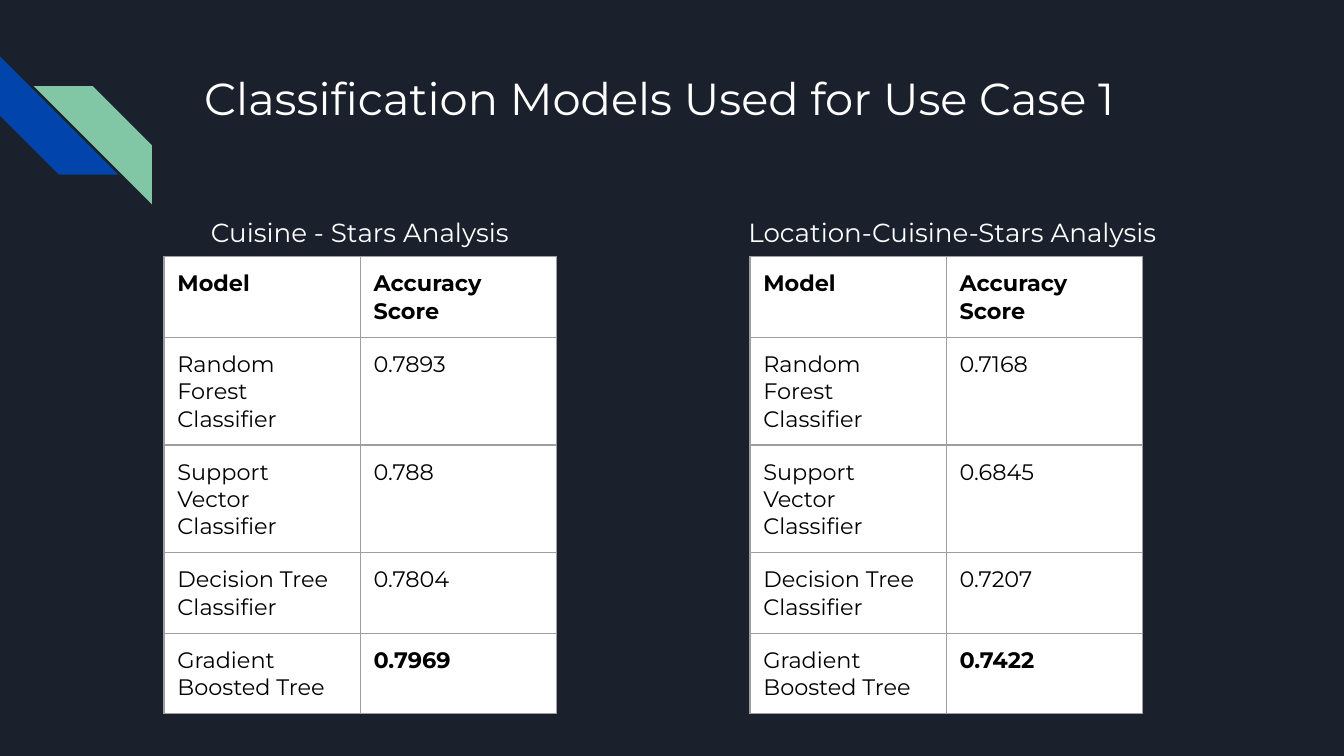
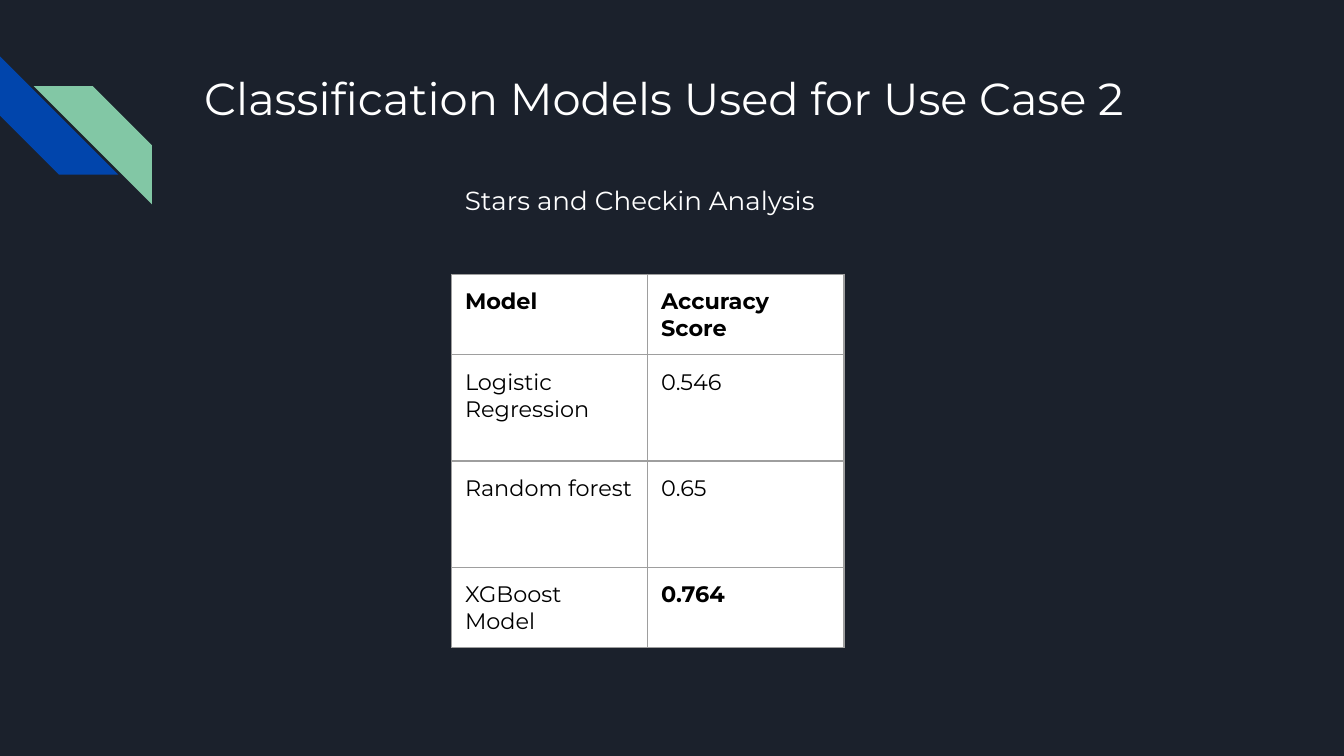
import pptx
import pptx.util
import pptx.dml.color
import pptx.enum.shapes
import pptx.enum.text
import pptx.oxml
import pptx.oxml.ns

Inches = pptx.util.Inches

COLORS = {
    "background": "1B212C",
    "blue": "0145AC",
    "green": "82C7A5",
    "white": "FFFFFF",
    "black": "000000",
    "border": "9E9E9E",
}
FONT = "Montserrat"
HEADER = ("Model", "Accuracy Score")
COLUMN_WIDTH = 1.46
TABLE_SIZE = 3.28
SHORT_ROW, TALL_ROW = 0.58, 0.79


def color(name):
    return pptx.dml.color.RGBColor.from_string(COLORS[name])


def style_text(frame, text, size, color_name, bold=False):
    frame.word_wrap = True
    para = frame.paragraphs[0]
    para.text = text
    para.font.name = FONT
    para.font.size = pptx.util.Pt(size)
    para.font.bold = bold
    para.font.color.rgb = color(color_name)


def add_text(page, text, left, top, width, height, size):
    box = page.shapes.add_textbox(Inches(left), Inches(top), Inches(width), Inches(height))
    frame = box.text_frame
    frame.margin_left = frame.margin_right = Inches(0.1)
    frame.margin_top = frame.margin_bottom = Inches(0.1)
    frame.vertical_anchor = pptx.enum.text.MSO_ANCHOR.TOP
    style_text(frame, text, size, "white")


def add_stripe(page, left, top, rotation, color_name):
    stripe = page.shapes.add_shape(
        pptx.enum.shapes.MSO_SHAPE.DIAGONAL_STRIPE,
        Inches(left), Inches(top), Inches(0.88), Inches(0.88))
    stripe.adjustments[0] = 0.5
    stripe.rotation = rotation
    stripe.shadow.inherit = False
    stripe.fill.solid()
    stripe.fill.fore_color.rgb = color(color_name)
    stripe.line.fill.background()


def add_page(deck, title):
    """Add a page with the shared background, corner stripes and title."""
    page = deck.slides.add_slide(deck.slide_layouts[6])
    page.background.fill.solid()
    page.background.fill.fore_color.rgb = color("background")
    add_stripe(page, 0, 0.42, 270, "blue")
    add_stripe(page, 0.25, 0.64, 90, "green")
    add_text(page, title, 1.42, 0.43, 7.7, 0.6, 24)
    return page


def add_borders(cell):
    properties = cell._tc.get_or_add_tcPr()
    for side in ("L", "R", "T", "B"):
        properties.append(pptx.oxml.parse_xml(
            f'<a:ln{side} {pptx.oxml.ns.nsdecls("a")} w="{pptx.util.Pt(0.75)}">'
            f'<a:solidFill><a:srgbClr val="{COLORS["border"]}"/></a:solidFill>'
            f'</a:ln{side}>'))


def add_score_table(page, left, top, scores, row_heights):
    """Add a table of models; the header and the last score are bold."""
    rows = [HEADER, *scores]
    holder = page.shapes.add_table(
        len(rows), len(HEADER), Inches(left), Inches(top),
        Inches(TABLE_SIZE), Inches(TABLE_SIZE))
    table = holder.table
    table.horz_banding = False
    for column in table.columns:
        column.width = Inches(COLUMN_WIDTH)
    for i, (values, height) in enumerate(zip(rows, row_heights)):
        table.rows[i].height = Inches(height)
        for j, value in enumerate(values):
            cell = table.cell(i, j)
            cell.margin_left = cell.margin_right = Inches(0.1)
            cell.margin_top = cell.margin_bottom = Inches(0.1)
            add_borders(cell)
            cell.fill.solid()
            cell.fill.fore_color.rgb = color("white")
            best_score = i == len(rows) - 1 and j == 1
            style_text(cell.text_frame, value, 12, "black", i == 0 or best_score)
    # Row and column sizes reset the frame, so its size is set last
    holder.width = holder.height = Inches(TABLE_SIZE)


def main():
    deck = pptx.Presentation()
    # 16:9 page, 10 inches wide
    deck.slide_width = Inches(10)
    deck.slide_height = deck.slide_width * 9 // 16

    # Use case 1: two analyses of the same models
    page = add_page(deck, "Classification Models Used for Use Case 1")
    models = ("Random Forest Classifier", "Support Vector Classifier",
              "Decision Tree Classifier", "Gradient Boosted Tree")
    heights = (SHORT_ROW, TALL_ROW, TALL_ROW, SHORT_ROW, SHORT_ROW)
    analyses = (
        ("Cuisine - Stars Analysis", 1.47, 2.42, 1.22,
         ("0.7893", "0.788", "0.7804", "0.7969")),
        ("Location-Cuisine-Stars Analysis", 5.47, 3.4, 5.58,
         ("0.7168", "0.6845", "0.7207", "0.7422")),
    )
    for _, _, _, table_left, scores in analyses:
        add_score_table(page, table_left, 1.91, zip(models, scores), heights)
    for caption, caption_left, caption_width, _, _ in analyses:
        add_text(page, caption, caption_left, 1.51, caption_width, 0.52, 14)

    # Use case 2: one analysis
    page = add_page(deck, "Classification Models Used for Use Case 2")
    scores = (("Logistic Regression", "0.546"), ("Random forest", "0.65"),
              ("XGBoost Model", "0.764"))
    add_score_table(page, 3.36, 2.04, scores, (SHORT_ROW, TALL_ROW, TALL_ROW, SHORT_ROW))
    add_text(page, "Stars and Checkin Analysis", 3.36, 1.27, 3.02, 0.52, 14)

    deck.save("out.pptx")


if __name__ == "__main__":
    main()
